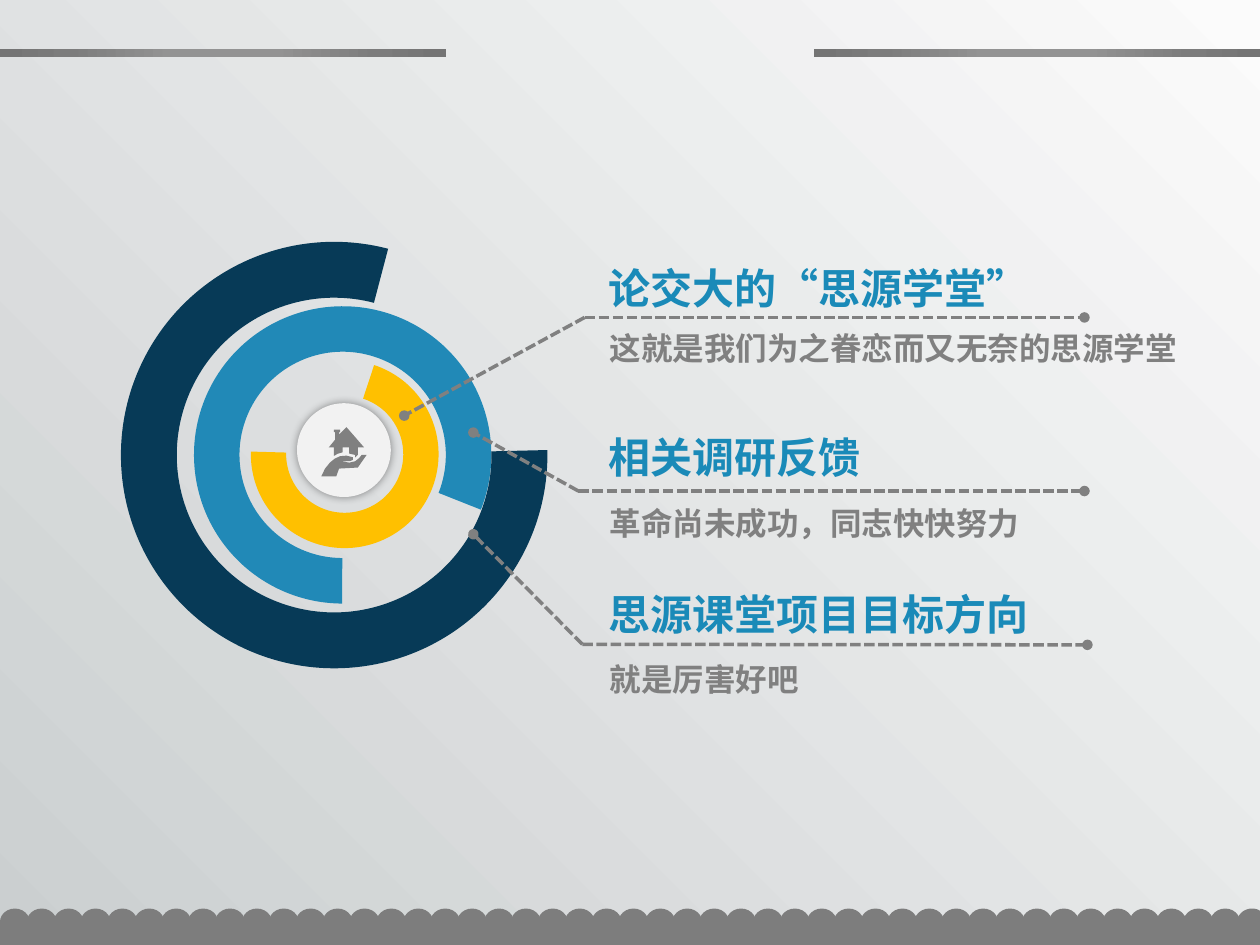
import math

import lxml.etree
import pptx
import pptx.dml.color
import pptx.enum.dml
import pptx.enum.shapes
import pptx.enum.text
import pptx.oxml
import pptx.oxml.ns
import pptx.util

Pt = pptx.util.Pt
qn = pptx.oxml.ns.qn
SHAPES = pptx.enum.shapes.MSO_SHAPE
ALIGN = pptx.enum.text.PP_ALIGN

COLORS = {
    "light": "FBFBFB", "dark": "CBCFD0", "border": "7D7D7D", "gray": "808080",
    "disc": "F2F2F2", "title": "1A8AB8",
    "yellow": "FFC000", "blue": "2189B7", "navy": "073A57",
}
BAR_STOPS = [(0, "939393"), (23, "939393"), (69, "7C7C7C"), (97, "747474")]
FONT = "Noto Sans CJK SC"
WIDTH, HEIGHT = 720, 540


def rgb(name):
    return pptx.dml.color.RGBColor.from_string(COLORS[name])


def add_element(parent, tag, **attributes):
    return lxml.etree.SubElement(parent, qn(tag), attributes)


class SlideBuilder:
    def __init__(self, slide):
        self.slide = slide
        self.shapes = slide.shapes

    def background(self):
        fill = self.slide.background.fill
        fill.gradient()
        fill.gradient_angle = 225
        for stop, name in zip(fill.gradient_stops, ("light", "dark")):
            stop.color.rgb = rgb(name)

    def paint(self, shape, color):
        shape.shadow.inherit = False
        shape.fill.solid()
        shape.fill.fore_color.rgb = rgb(color)
        shape.line.fill.background()
        return shape

    def shape(self, kind, left, top, width, height, color):
        shape = self.shapes.add_shape(kind, Pt(left), Pt(top), Pt(width), Pt(height))
        return self.paint(shape, color)

    def bar(self, left, top, width, height):
        """Rectangle with a radial gradient from its centre."""
        bar = self.shape(SHAPES.RECTANGLE, left, top, width, height, "border")
        properties = bar._element.spPr
        gradient = lxml.etree.Element(qn("a:gradFill"), {"rotWithShape": "1"})
        stops = add_element(gradient, "a:gsLst")
        for position, color in BAR_STOPS:
            stop = add_element(stops, "a:gs", pos=str(position * 1000))
            add_element(stop, "a:srgbClr", val=color)
        shade = add_element(gradient, "a:path", path="circle")
        add_element(shade, "a:fillToRect", l="50000", t="50000", r="50000", b="50000")
        properties.replace(properties.find(qn("a:solidFill")), gradient)

    def ring(self, left, top, size, rotation, adjustments, color):
        ring = self.shape(SHAPES.BLOCK_ARC, left, top, size, size, color)
        ring.rotation = rotation
        for index, value in enumerate(adjustments):
            ring.adjustments[index] = value

    def outline(self, contours, color):
        """One filled freeform made of closed polygons."""
        contours = [[(Pt(x), Pt(y)) for x, y in contour] for contour in contours]
        builder = self.shapes.build_freeform(*contours[0][0])
        for index, contour in enumerate(contours):
            if index:
                builder.move_to(*contour[0])
            builder.add_line_segments(contour[1:], close=True)
        self.paint(builder.convert_to_shape(), color)

    def glow(self, shape):
        effects = shape._element.spPr.find(qn("a:effectLst"))
        shadow = add_element(effects, "a:outerShdw", blurRad=str(Pt(5)), dist="0",
                             dir="0", algn="ctr", rotWithShape="0")
        color = add_element(shadow, "a:srgbClr", val="000000")
        add_element(color, "a:alpha", val="40000")

    def dotted_line(self, start, end):
        """Dashed line with a round dot at its end."""
        line = self.shapes.add_connector(
            pptx.enum.shapes.MSO_CONNECTOR.STRAIGHT,
            *(Pt(value) for value in (*start, *end)))
        line.line.color.rgb = rgb("gray")
        line.line.width = Pt(2)
        line.line.dash_style = pptx.enum.dml.MSO_LINE.SQUARE_DOT
        add_element(line.line._get_or_add_ln(), "a:tailEnd", type="oval")
        add_element(line._element.spPr, "a:effectLst")

    def text(self, left, top, width, height, text, size, color, wrap=True, align=None):
        box = self.shapes.add_textbox(Pt(left), Pt(top), Pt(width), Pt(height))
        frame = box.text_frame
        frame.word_wrap = wrap
        frame.auto_size = pptx.enum.text.MSO_AUTO_SIZE.SHAPE_TO_FIT_TEXT
        para = frame.paragraphs[0]
        para.text = text
        para.alignment = align
        para.font.size = Pt(size)
        para.font.bold = True
        para.font.color.rgb = rgb(color)
        para.font.name = FONT
        defaults = para._p.pPr.find(qn("a:defRPr"))
        add_element(defaults, "a:ea", typeface=FONT)


# Rings: left, top, size, rotation, (start, end, thickness), colour
RINGS = [
    (143.3, 205.9, 107.3, 188.3, (59.977, 211.979, 0.188), "yellow"),
    (110.9, 175, 169.9, 340.7, (65.697, 24.55, 0.153), "blue"),
    (69.1, 138.2, 243.7, 285.9, (43.643, 215.246, 0.131), "navy"),
]

# Callouts: elbow, end of the rule, dot on the ring
CALLOUTS = [
    ((332.8, 368.2), (621.4, 368.5), (270.5, 305.3)),
    ((330.5, 280.6), (619.7, 280.6), (270.5, 247.2)),
    ((334.1, 181.4), (619.7, 181.4), (231, 237.5)),
]

# Topics: title, top, width, wrap; then description, top, width, alignment
TOPICS = [
    (("论交大的“思源学堂”", 146.2, 254.9, False),
     ("这就是我们为之眷恋而又无奈的思源学堂", 184.3, 349.2, ALIGN.JUSTIFY)),
    (("相关调研反馈", 243.2, 283.7, True),
     ("革命尚未成功，同志快快努力", 284.2, 295.2, None)),
    (("思源课堂项目目标方向", 332.9, 257, False),
     ("就是厉害好吧", 373.8, 295.2, None)),
]

HAND = [
    (183.6, 272.2), (185.8, 267.8), (188.6, 264.3), (191.5, 262), (194.4, 260.7),
    (198, 260.4), (201.6, 261.3), (201.7, 262.8), (200.2, 263.5), (195.2, 263.6),
    (199.6, 264.4), (203, 263.6), (205.2, 261.8), (206.7, 260), (209.5, 260),
    (204.5, 267.2), (193.8, 267.8), (192.2, 272.2),
]
HOUSE = [
    (204.5, 255.7), (208.1, 255.7), (203, 249.8), (198, 244.1), (193.8, 248.4),
    (193.8, 247), (194.4, 247), (194.4, 245.5), (190.8, 245.5), (190.8, 247),
    (191.5, 247), (191.5, 251.3), (187.9, 255.7), (190.8, 255.7), (190.8, 260.6),
    (193, 259.3), (195.8, 258.5), (195.8, 255.7), (199.6, 255.7), (199.6, 259.2),
    (203, 260), (203, 261.4), (204.5, 260),
]


def main():
    deck = pptx.Presentation()
    deck.slide_width, deck.slide_height = Pt(WIDTH), Pt(HEIGHT)
    page = SlideBuilder(deck.slides.add_slide(deck.slide_layouts[6]))
    page.background()

    # Scalloped bottom border, its last scallop cut at the slide edge
    page.shape(SHAPES.RECTANGLE, 0, 526.2, WIDTH, HEIGHT - 526.2, "border")
    scallops, pitch, width, height, top = 46, 15.37, 17, 15.3, 519.2
    for index in range(scallops):
        page.shape(SHAPES.OVAL, index * pitch, top, width, height, "border")
    center_x, center_y = scallops * pitch + width / 2, top + height / 2
    angles = [math.radians(degrees) for degrees in range(0, 360, 10)]
    page.outline([[(min(WIDTH, center_x + width / 2 * math.cos(angle)),
                    center_y + height / 2 * math.sin(angle)) for angle in angles]],
                 "border")

    # Top bars
    bar_width = 254.9
    for left in (0, WIDTH - bar_width):
        page.bar(left, 28, bar_width, 4.5)

    # Rings and callout lines
    for ring in RINGS:
        page.ring(*ring)
    for elbow, rule_end, dot in CALLOUTS:
        page.dotted_line(elbow, rule_end)
        page.dotted_line(elbow, dot)

    # Central disc with a house held in a hand
    page.glow(page.shape(SHAPES.OVAL, 169.7, 230.4, 53.6, 53.6, "disc"))
    page.outline([HAND, HOUSE], "gray")

    # Topic texts
    for (title, title_top, title_width, wrap), (note, note_top, note_width, align) in TOPICS:
        page.text(340.6, title_top, title_width, 36.4, title, 24, "title", wrap=wrap)
        page.text(341.3, note_top, note_width, 29.1, note, 18, "gray", align=align)

    deck.save("out.pptx")


if __name__ == "__main__":
    main()
